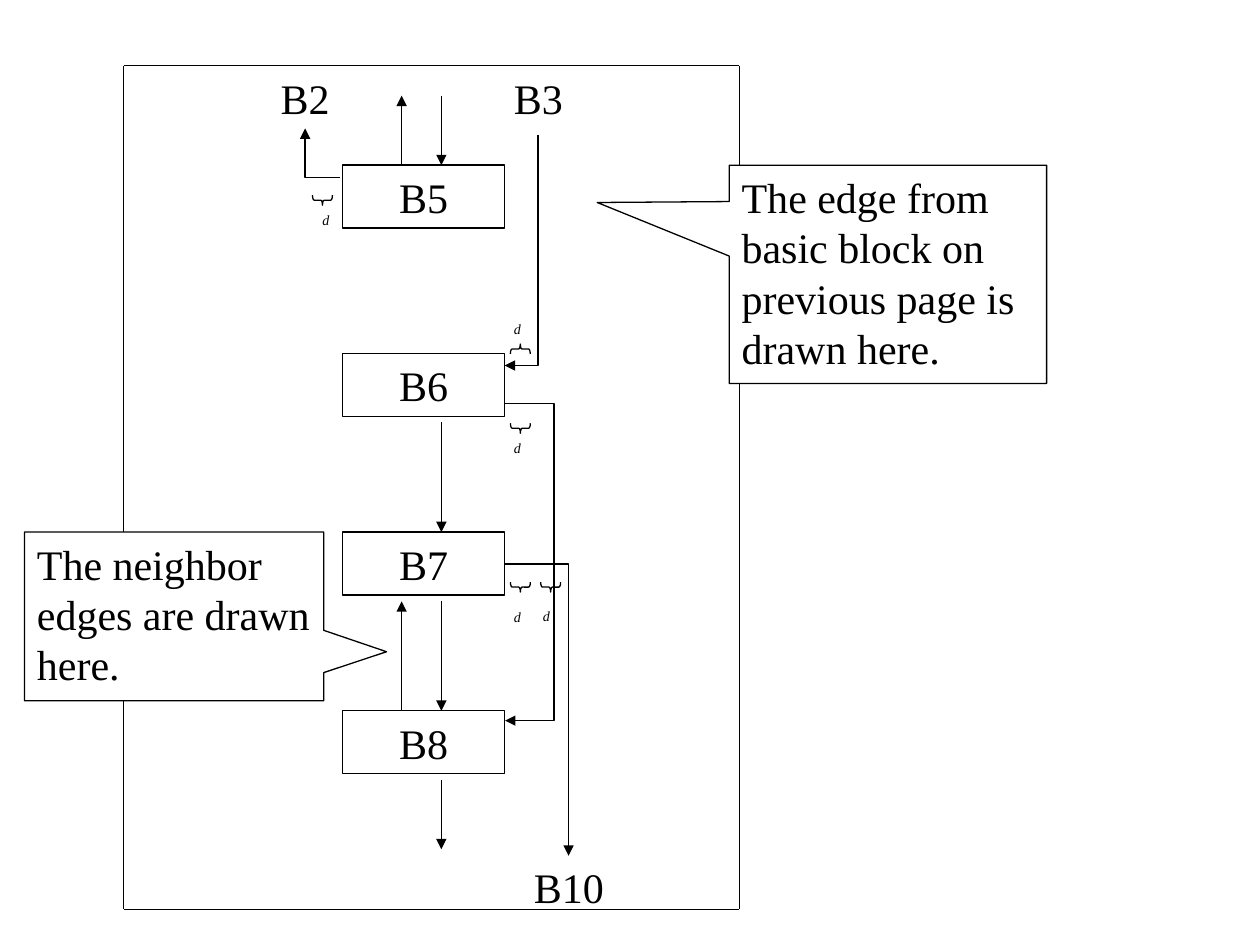
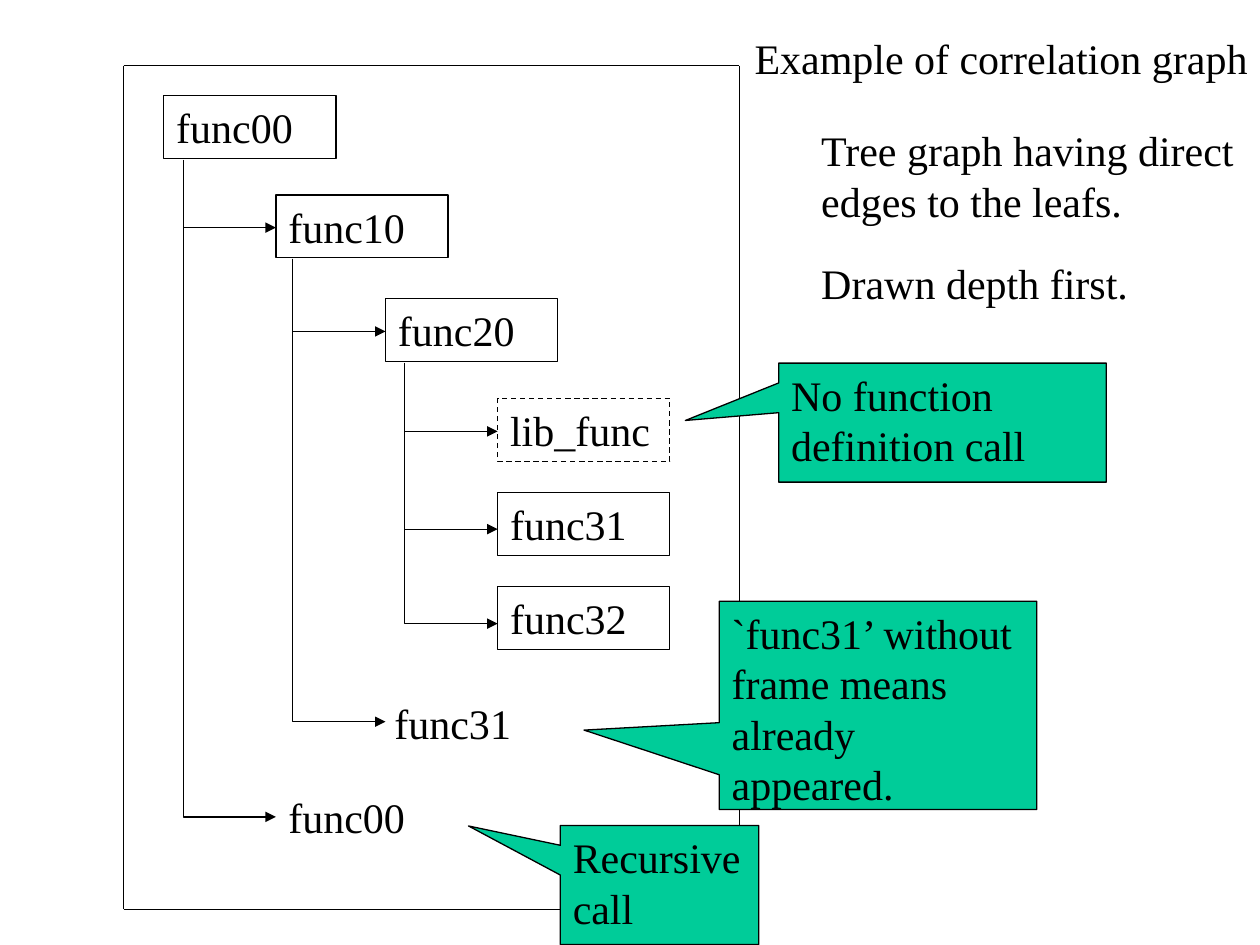
import pptx
import pptx.util
import pptx.dml.color
import pptx.enum.dml
import pptx.enum.shapes
import pptx.enum.text
import pptx.oxml.ns
import lxml.etree

Pt = pptx.util.Pt
KIND = pptx.enum.shapes.MSO_SHAPE
WIRE = pptx.enum.shapes.MSO_CONNECTOR
ALIGN = pptx.enum.text.PP_ALIGN
GROW = pptx.enum.text.MSO_AUTO_SIZE

INK, WHITE, GREEN = "000000", "FFFFFF", "00CC99"
FONT = {"name": "Times New Roman", "size": Pt(24), "italic": False}
SMALL = {**FONT, "size": Pt(8), "italic": True}
INSETS = {"margin_left": Pt(7.2), "margin_right": Pt(7.2),
          "margin_top": Pt(3.6), "margin_bottom": Pt(3.6),
          "vertical_anchor": pptx.enum.text.MSO_ANCHOR.TOP}
FRAME = (70.7, 37.5, 422.5, 519.6)  # left, top, right, bottom
ROW = 36

# Flow slide
BLOCK_X, BLOCK_W = 195.7, 92.7
BLOCKS = [("B5", 94.4), ("B6", 202), ("B7", 304.1), ("B8", 406.2)]
NAMES = [("B2", 153.3, 37.7, 44), ("B3", 286.6, 37.7, 44),
         ("B10", 298, 489, 57)]
DOWN_X, UP_X = 252.2, 229.5
DOWN = [(54.7, 94.4), (241.4, 304.1), (343.6, 406.2), (445.7, 485.3)]
UP = [(94.4, 54.7), (406.2, 343.6)]
# brace left, top, turn; label left, top
GAPS = [(294.5, 239, 90, 286.6, 247.7), (294.5, 193.7, 270, 286.6, 179.5),
        (181.4, 108.7, 90, 177.1, 117.4), (294.5, 329.8, 90, 286.6, 344.2),
        (311.8, 329.8, 90, 303.1, 343.4)]
# text, box, pointer, fill
FLOW_NOTES = [
    ("The neighbor edges are drawn here.",
     (14, 304, 171, 96.4), (0.71, 0.21), WHITE),
    ("The edge from basic block on previous page is drawn here.",
     (416.7, 94.4, 181.4, 124.7), (-0.916, -0.329), WHITE)]

# Tree slide
HEADS = [("Example of correlation graph", 424.1, 15, 299, ROW),
         ("Tree graph having direct\nedges to the leafs.",
          462.2, 67.8, 254, 64.8),
         ("Drawn depth first.", 462.2, 143.6, 193, ROW)]
TRUNKS = {1: (105.1, 91.4), 2: (167, 147.8), 3: (231.1, 207.4)}
LEAF_X = [93.6, 157.7, 220.3, 284.4]
LEAF_W = 98.4
# name, level, top, arrow height, style
LEAVES = [("func00", 0, 54.7, None, "solid"),
          ("func10", 1, 111.4, 130.1, "solid"),
          ("func20", 2, 170.6, 189.4, "solid"),
          ("lib_func", 3, 227.7, 246.5, "dash"),
          ("func31", 3, 281.3, 302.4, "solid"),
          ("func32", 3, 335.3, 356.4, "solid"),
          ("func31", 2, 394.9, 412.4, "bare"),
          ("func00", 1, 448.6, 466.8, "bare")]
TREE_NOTES = [
    ("`func31’ without frame means already appeared.",
     (411, 343.6, 181.4, 119), (-0.926, 0.119), GREEN),
    ("Recursive call", (320.2, 471.7, 113.4, 68), (-0.963, -0.496), GREEN),
    ("No function definition call",
     (445, 207.5, 187.2, 68), (-0.785, -0.018), GREEN)]


def hue(code):
    return pptx.dml.color.RGBColor.from_string(code)


def assign(item, values):
    for key, value in values.items():
        setattr(item, key, value)


def ink(line):
    line.color.rgb = hue(INK)
    line.width = Pt(0.75)


def write(shape, text, font=FONT, align=ALIGN.LEFT, wrap=True,
          size=GROW.SHAPE_TO_FIT_TEXT):
    frame = shape.text_frame
    frame.text = text
    assign(frame, {**INSETS, "word_wrap": wrap, "auto_size": size})
    for para in frame.paragraphs:
        para.alignment = align
        assign(para.font, font)
        para.font.color.rgb = hue(INK)


def label(slide, text, box, font=FONT, wrap=False):
    write(slide.shapes.add_textbox(*map(Pt, box)), text, font, wrap=wrap,
          size=GROW.SHAPE_TO_FIT_TEXT if wrap else GROW.NONE)


def form(slide, kind, box, fill=None):
    shape = slide.shapes.add_shape(kind, *map(Pt, box))
    shape.shadow.inherit = False
    if fill:
        shape.fill.solid()
        shape.fill.fore_color.rgb = hue(fill)
    else:
        shape.fill.background()
    ink(shape.line)
    return shape


def note(slide, text, box, point, fill):
    shape = form(slide, KIND.RECTANGULAR_CALLOUT, box, fill)
    for i, value in enumerate(point):
        shape.adjustments[i] = value
    write(shape, text, size=GROW.NONE)


def link(slide, start, end, kind=WIRE.STRAIGHT, arrow=True):
    wire = slide.shapes.add_connector(kind, *map(Pt, start + end))
    ink(wire.line)
    props = wire._element.spPr
    tag = pptx.oxml.ns.qn
    if arrow:
        tip = lxml.etree.SubElement(props.find(tag("a:ln")), tag("a:tailEnd"))
        tip.set("type", "triangle")
    lxml.etree.SubElement(props, tag("a:effectLst"))
    return props


def across(slide, start, end):
    """Arrow that runs sideways first, then up or down."""
    props = link(slide, start, end, WIRE.ELBOW)
    props.prstGeom.set("prst", "bentConnector2")


def drop(slide, start, end):
    """Arrow that runs down first, then sideways, as a turned elbow."""
    (x1, y1), (x2, y2) = start, end
    mid_x, mid_y = (x1 + x2) / 2, (y1 + y2) / 2
    half_w, half_h = (y2 - y1) / 2, abs(x2 - x1) / 2
    side = 1 if x2 > x1 else -1
    props = link(slide, (mid_x + side * half_w, mid_y - half_h),
                 (mid_x - side * half_w, mid_y + half_h), WIRE.ELBOW)
    props.prstGeom.set("prst", "bentConnector2")
    props.xfrm.set("rot", str((270 if side > 0 else 90) * 60000))


def loop(slide, start, end, far):
    """Arrow that runs out sideways as far as x = far, then back."""
    props = link(slide, start, end, WIRE.ELBOW)
    ratio = (far - start[0]) / (end[0] - start[0])
    tag = pptx.oxml.ns.qn
    guide = lxml.etree.SubElement(props.prstGeom.get_or_add_avLst(),
                                  tag("a:gd"))
    guide.set("name", "adj1")
    guide.set("fmla", f"val {round(ratio * 100000)}")


def page(deck):
    slide = deck.slides.add_slide(deck.slide_layouts[6])
    x1, y1, x2, y2 = FRAME
    for start, end in [((x1, y1), (x1, y2)), ((x1, y2), (x2, y2)),
                       ((x2, y1), (x2, y2)), ((x1, y1), (x2, y1))]:
        link(slide, start, end, arrow=False)
    return slide


def flow(slide):
    for name, top in BLOCKS:
        box = form(slide, KIND.RECTANGLE, (BLOCK_X, top, BLOCK_W, ROW))
        write(box, name, align=ALIGN.CENTER)
    for x, spans in [(DOWN_X, DOWN), (UP_X, UP)]:
        for y1, y2 in spans:
            link(slide, (x, y1), (x, y2))
    for name, left, top, width in NAMES:
        label(slide, name, (left, top, width, ROW))
    edge = BLOCK_X + BLOCK_W
    across(slide, (194.4, 101.5), (174.4, 73.4))
    drop(slide, (307.4, 77.2), (edge, 208.9))
    across(slide, (edge, 322.3), (324.9, 489))
    loop(slide, (edge, 230.4), (edge + 0.2, 411.8), 316.8)
    for left, top, turn, x, y in GAPS:
        brace = form(slide, KIND.RIGHT_BRACE, (left, top, 5.7, 11.4))
        brace.rotation = turn
        brace.adjustments[0] = 0.167
        label(slide, "d", (x, y, 19, 17.3), SMALL)
    for item in FLOW_NOTES:
        note(slide, *item)


def tree(slide):
    for text, *box in HEADS:
        label(slide, text, box)
    for name, level, top, reach, style in LEAVES:
        box = (LEAF_X[level], top, LEAF_W, ROW)
        if style == "bare":
            # the deeper bare name sits just left of its column
            left = box[0] - (2 if level == 2 else 0)
            label(slide, name, (left, *box[1:]), wrap=True)
        else:
            leaf = form(slide, KIND.RECTANGLE, box)
            write(leaf, name)
            if style == "dash":
                leaf.line.dash_style = pptx.enum.dml.MSO_LINE.DASH
        if level:
            drop(slide, TRUNKS[level], (LEAF_X[level], reach))
    for item in TREE_NOTES:
        note(slide, *item)


def main():
    deck = pptx.Presentation()
    assign(deck, {"slide_width": Pt(720), "slide_height": Pt(540)})
    flow(page(deck))
    tree(page(deck))
    deck.save("out.pptx")


if __name__ == "__main__":
    main()
